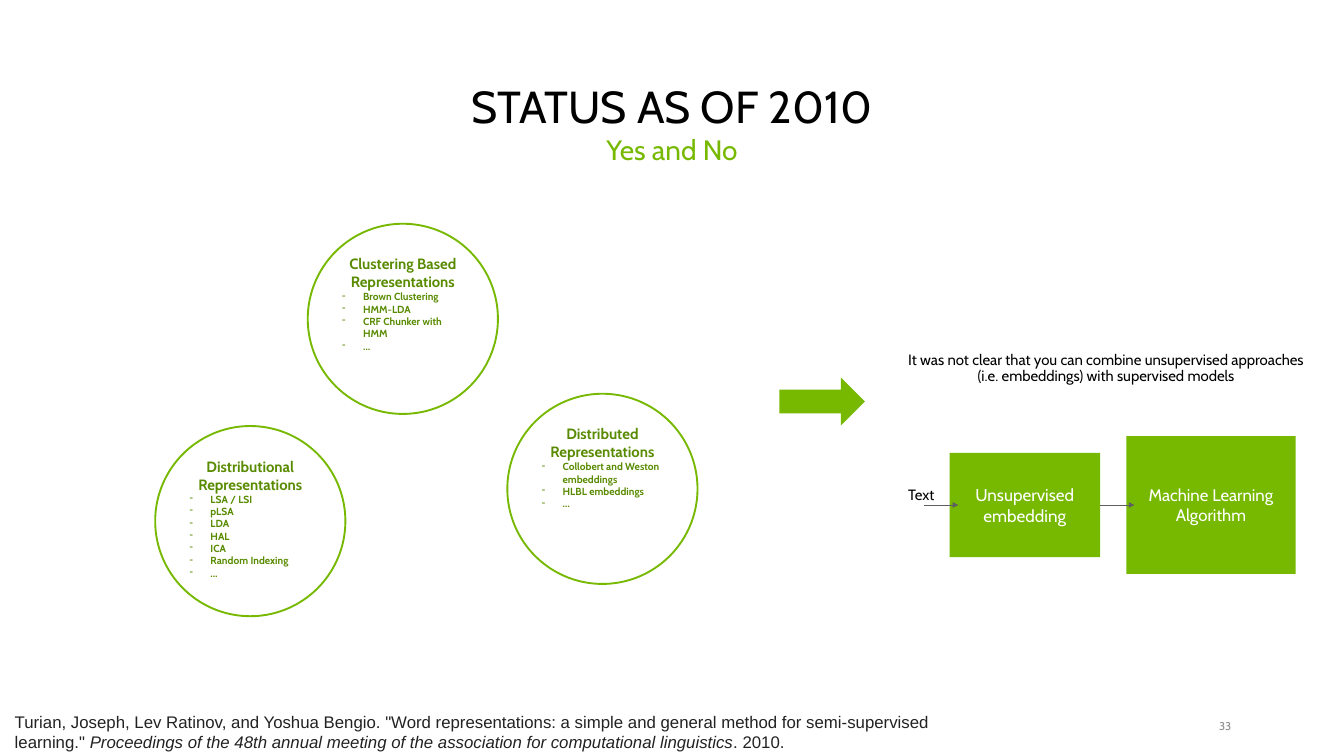
from collections import namedtuple
from dataclasses import dataclass

from lxml import etree
from pptx import Presentation
from pptx.dml.color import RGBColor
from pptx.enum.shapes import MSO_CONNECTOR, MSO_SHAPE
from pptx.enum.text import MSO_ANCHOR, PP_ALIGN
from pptx.oxml.ns import qn
from pptx.util import Inches, Pt

LEFT, CENTER, RIGHT = PP_ALIGN.LEFT, PP_ALIGN.CENTER, PP_ALIGN.RIGHT
TOP, MIDDLE, BOTTOM = MSO_ANCHOR.TOP, MSO_ANCHOR.MIDDLE, MSO_ANCHOR.BOTTOM
OVAL, RECT, ARROW = MSO_SHAPE.OVAL, MSO_SHAPE.RECTANGLE, MSO_SHAPE.RIGHT_ARROW
STRAIGHT = MSO_CONNECTOR.STRAIGHT
RIGHT_SIDE = 3

# Grid: 200 columns by 112.5 rows of square cells
WIDTH, HEIGHT = Inches(20), Inches(11.25)
COLS = 200
CELL = WIDTH / COLS


@dataclass(frozen=True)
class Theme:
    font: str = "Cabin"
    cite_font: str = "Arial"
    green: str = "76B900"
    dark_green: str = "598B00"
    black: str = "000000"
    white: str = "FFFFFF"
    cite: str = "222222"
    grey: str = "5E5E5E"
    light_grey: str = "8C8C8C"
    title: float = 48
    subtitle: float = 30
    body: float = 18
    embedding: float = 18.3
    label: float = 16
    number: float = 12
    item: float = 11


T = Theme()


class Box(namedtuple("Box", "x y w h")):
    def sub(self, x, y, w, h):
        return Box(self.x + x, self.y + y, w, h)

    def emu(self):
        return [cells(v) for v in self]


def cells(n):
    return int(round(n * CELL))


def write(p, text, size, color, font=T.font, **formats):
    r = p.add_run()
    r.text = text
    formats = {"name": font, "size": Pt(size), **formats}
    for name, value in formats.items():
        setattr(r.font, name, value)
    r.font.color.rgb = RGBColor.from_string(color)


def set_frame(tf, anchor=TOP, wrap=True, margin=None):
    formats = {"vertical_anchor": anchor, "word_wrap": wrap}
    if margin is not None:
        formats |= {f"margin_{side}": margin for side in ("left", "right", "top", "bottom")}
    for name, value in formats.items():
        setattr(tf, name, value)


def put_lines(tf, lines, size, color, align=CENTER, spacing=0.9):
    for i, line in enumerate(lines):
        p = tf.add_paragraph() if i else tf.paragraphs[0]
        p.alignment, p.line_spacing = align, spacing
        write(p, line, size, color)


def add_text(s, box, lines, size, color, anchor=TOP, wrap=True, margin=None, **layout):
    tf = s.shapes.add_textbox(*box.emu()).text_frame
    set_frame(tf, anchor, wrap, margin)
    put_lines(tf, lines, size, color, **layout)


def add_shape(s, kind, box, fill=None, line=None):
    sp = s.shapes.add_shape(kind, *box.emu())
    sp.shadow.inherit = False
    for part, color in ((sp.fill, fill), (sp.line.fill, line)):
        if color:
            part.solid()
            part.fore_color.rgb = RGBColor.from_string(color)
        else:
            part.background()
    return sp


def add_bullet(p, indent):
    pPr = p._p.get_or_add_pPr()
    pPr.set("marL", str(indent))
    pPr.set("indent", str(-indent))
    etree.SubElement(pPr, qn("a:buChar")).set("char", "-")


def add_arrow(s, box, source=None):
    x, y, w, h = box.emu()
    line = s.shapes.add_connector(STRAIGHT, x, y, x + w, y + h)
    if source is not None:
        line.begin_connect(source, RIGHT_SIDE)
        line.end_y = line.begin_y
    line.line.width = Pt(0.75)
    line.line.color.rgb = RGBColor.from_string(T.grey)
    etree.SubElement(line.line._get_or_add_ln(), qn("a:tailEnd")).set("type", "triangle")
    etree.SubElement(line._element.spPr, qn("a:effectLst"))


def heading(s, box):
    # Title placeholder with the subtitle below it
    title = s.shapes.title
    title.left, title.top, title.width, title.height = box.sub(0, 0, box.w, 10.8).emu()
    set_frame(title.text_frame, BOTTOM)
    put_lines(title.text_frame, ["STATUS AS OF 2010"], T.title, T.black)
    add_text(s, box.sub(0, 10.3, box.w, 9.6), ["Yes and No"], T.subtitle, T.green)


def circle(s, box, title, items):
    sp = add_shape(s, OVAL, box, line=T.green)
    sp.line.width = Pt(2)
    tf = sp.text_frame
    set_frame(tf)
    p = tf.paragraphs[0]
    p.alignment = CENTER
    write(p, title, T.label, T.dark_green, bold=True)
    for item in items:
        p = tf.add_paragraph()
        p.alignment = LEFT
        add_bullet(p, cells(3.1))
        write(p, item, T.item, T.dark_green, bold=True)


def representations(s, box):
    # Three families of word representations
    diameter = 28.3
    families = [
        (0, 30.1, "Distributional Representations",
         ["LSA / LSI", "pLSA", "LDA", "HAL", "ICA", "Random Indexing", "…"]),
        (22.7, 0, "Clustering Based Representations",
         ["Brown Clustering", "HMM-LDA", "CRF Chunker with HMM", "…"]),
        (52.4, 25.3, "Distributed Representations",
         ["Collobert and Weston embeddings", "HLBL embeddings", "…"]),
    ]
    for x, y, title, items in families:
        circle(s, box.sub(x, y, diameter, diameter), title, items)


def step(s, box, text, size):
    sp = add_shape(s, RECT, box, fill=T.green)
    set_frame(sp.text_frame, MIDDLE)
    put_lines(sp.text_frame, [text], size, T.white, spacing=1.0)
    return sp


def pipeline(s, box):
    # Caption
    add_text(s, box.sub(0, 0, box.w, 5.9),
             ["It was not clear that you can combine unsupervised approaches ",
              "(i.e. embeddings) with supervised models "],
             T.label, T.black, MIDDLE, wrap=False)
    # Steps share one centre line
    axis, reach = 23.25, 5.1
    step(s, box.sub(36.1, axis - 10.25, 25.2, 20.5), "Machine Learning Algorithm", T.body)
    embedding = step(s, box.sub(9.8, axis - 7.75, 22.4, 15.5),
                     "Unsupervised embedding", T.embedding)
    # Flow from the text through the steps
    add_arrow(s, box.sub(6, axis, reach, 0))
    add_arrow(s, box.sub(32.2, axis, reach, 0), embedding)
    add_text(s, box.sub(0.9, 20.2, 9.4, 3.4), ["Text"], T.label, T.black, MIDDLE)


def footer(s, box):
    # Citation and slide number
    tf = s.shapes.add_textbox(*box.sub(0, 0, 148.5, box.h).emu()).text_frame
    set_frame(tf)
    for text, italic in [
        ('Turian, Joseph, Lev Ratinov, and Yoshua Bengio. "Word representations: a simple '
         'and general method for semi-supervised learning." ', False),
        ("Proceedings of the 48th annual meeting of the association for computational "
         "linguistics", True),
        (". 2010.", False),
    ]:
        write(tf.paragraphs[0], text, T.body, T.cite, T.cite_font, italic=italic)
    add_text(s, box.sub(176.5, 1.7, 5.9, 2), ["33 "], T.number, T.light_grey, MIDDLE,
             margin=0, align=RIGHT, spacing=1.0)


def main():
    prs = Presentation()
    prs.slide_width, prs.slide_height = WIDTH, HEIGHT
    s = prs.slides.add_slide(prs.slide_layouts[5])
    heading(s, Box(9.1, 9.5, 181.8, 19.9))
    footer(s, Box(1.2, 105.4, 182.4, 7.1))
    representations(s, Box(23.1, 33.3, 80.7, 58.4))
    add_shape(s, ARROW, Box(116, 56.2, 12.7, 7.1), fill=T.green)
    pipeline(s, Box(131.5, 51.9, 66.7, 33.5))
    prs.save("out.pptx")


if __name__ == "__main__":
    main()
